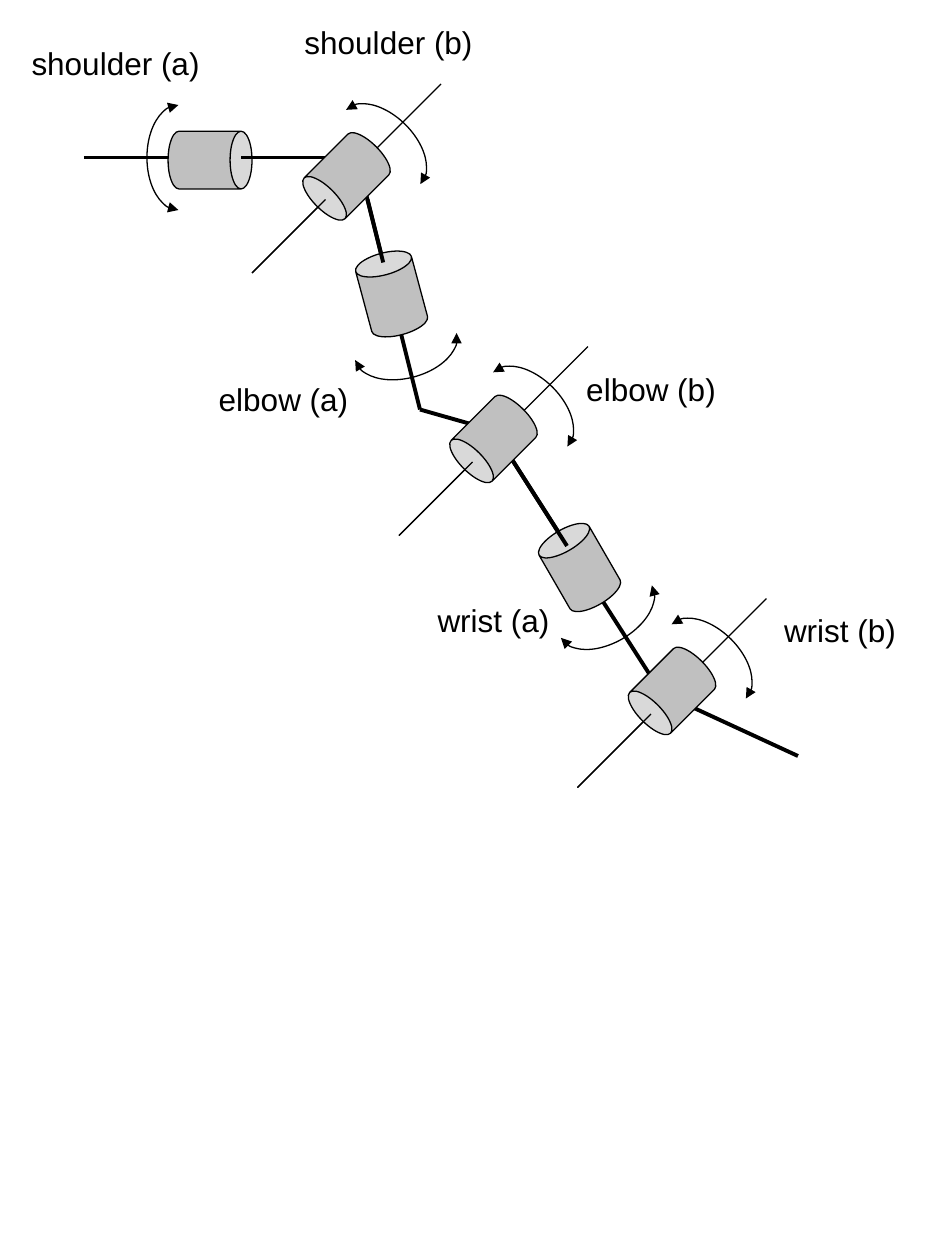
from dataclasses import dataclass

from pptx import Presentation
from pptx import util as u
from pptx.dml.color import RGBColor
from pptx.enum import shapes, text
from pptx.oxml.ns import qn
from lxml import etree


@dataclass(frozen=True)
class Theme:
    ink: RGBColor = RGBColor(0x00, 0x00, 0x00)
    metal: RGBColor = RGBColor(0xC0, 0xC0, 0xC0)
    font: str = "Arial"
    label_size: u.Pt = u.Pt(18)
    thin: u.Pt = u.Pt(0.75)
    thick: u.Pt = u.Pt(2.25)


THEME = Theme()
GRID = u.Cm(2.54) / 12  # all positions below count these grid steps
CAN_SIZE = (5.5, 8)
ARC_SIZE = (6, 10)
AXIS_REACH = 9

# start, end
BACK_LINKS = [
    ((8, 15), (16, 15)),
    ((35, 19), (40, 39)),
    ((40, 39), (47, 41)),
    ((47, 41), (63, 66)),
    ((63, 66), (76, 72)),
]
FRONT_LINKS = [
    ((23, 15), (31, 15)),
    ((34.5, 17), (36.5, 25)),
    ((47, 41), (54, 52)),
]
# can centre, arc centre, can rotation
TWIST_JOINTS = [
    ((20, 15.25), (17, 15), 90),
    ((37.3, 28), (38.65, 33), 345),
    ((55.2, 54.05), (57.75, 58.25), 330),
]
SWING_JOINTS = [(33, 17), (47, 42), (64, 66)]
# text, left, top, width
LABELS = [
    ("shoulder (a)", 1, 3, 20),
    ("shoulder (b)", 27, 1, 20),
    ("elbow (a)", 17, 35, 20),
    ("elbow (b)", 52, 34, 20),
    ("wrist (a)", 37, 56, 20),
    ("wrist (b)", 73, 57, 14),
]


def steps(*values):
    return [round(value * GRID) for value in values]


def add_line(page, start, end, width):
    line = page.shapes.add_connector(
        shapes.MSO_CONNECTOR.STRAIGHT, *steps(*start, *end))
    line.line.color.rgb = THEME.ink
    line.line.width = width
    etree.SubElement(line._element.spPr, qn("a:effectLst"))


def add_centred(page, kind, centre, size, rotation):
    (x, y), (width, height) = centre, size
    shape = page.shapes.add_shape(
        kind, *steps(x - width / 2, y - height / 2, width, height))
    shape.rotation = rotation
    shape.shadow.inherit = False
    shape.line.color.rgb = THEME.ink
    shape.line.width = THEME.thin
    return shape


def add_can(page, centre, rotation):
    can = add_centred(page, shapes.MSO_SHAPE.CAN, centre, CAN_SIZE, rotation)
    can.adjustments[0] = 0.38
    can.fill.solid()
    can.fill.fore_color.rgb = THEME.metal


def add_turn_arrow(page, centre, rotation):
    """Draw the left half of an ellipse with an arrowhead at both ends."""
    arc = add_centred(page, shapes.MSO_SHAPE.ARC, centre, ARC_SIZE, rotation)
    arc.adjustments[0] = 54   # 90 degrees
    arc.adjustments[1] = 162  # 270 degrees
    arc.fill.background()
    outline = arc.line._get_or_add_ln()
    for end in ("a:headEnd", "a:tailEnd"):
        etree.SubElement(outline, qn(end), type="triangle")


def add_text(page, words, box, *, size=THEME.label_size, color=THEME.ink,
             align=text.PP_ALIGN.CENTER):
    frame = page.shapes.add_textbox(*steps(*box)).text_frame
    frame.word_wrap = False
    frame.vertical_anchor = text.MSO_ANCHOR.MIDDLE
    para = frame.paragraphs[0]
    para.alignment = align
    span = para.add_run()
    span.text = words
    span.font.name = THEME.font
    span.font.size = size
    span.font.color.rgb = color


def add_twist_joint(page, can_centre, arc_centre, rotation):
    """Draw a joint that turns about the arm itself."""
    add_can(page, can_centre, rotation)
    add_turn_arrow(page, arc_centre, (rotation - 90) % 360)


def add_swing_joint(page, centre):
    """Draw a joint that turns about a diagonal axis through its centre."""
    x, y = centre
    near = (x - AXIS_REACH, y + AXIS_REACH)
    far = (x + AXIS_REACH, y - AXIS_REACH)
    add_line(page, near, far, THEME.thin)
    add_turn_arrow(page, (x + 3.5, y - 3), 135)
    add_can(page, (x, y - 0.2), 225)
    add_line(page, near, (x - 2, y + 2), THEME.thin)


def main():
    deck = Presentation()
    deck.slide_width, deck.slide_height = u.Cm(19.05), u.Cm(25.4)
    page = deck.slides.add_slide(deck.slide_layouts[6])
    for start, end in BACK_LINKS:
        add_line(page, start, end, THEME.thick)
    for joint in TWIST_JOINTS:
        add_twist_joint(page, *joint)
    for start, end in FRONT_LINKS:
        add_line(page, start, end, THEME.thick)
    for centre in SWING_JOINTS:
        add_swing_joint(page, centre)
    for words, left, top, width in LABELS:
        add_text(page, words, (left, top, width, 6))
    deck.save("out.pptx")


if __name__ == "__main__":
    main()
